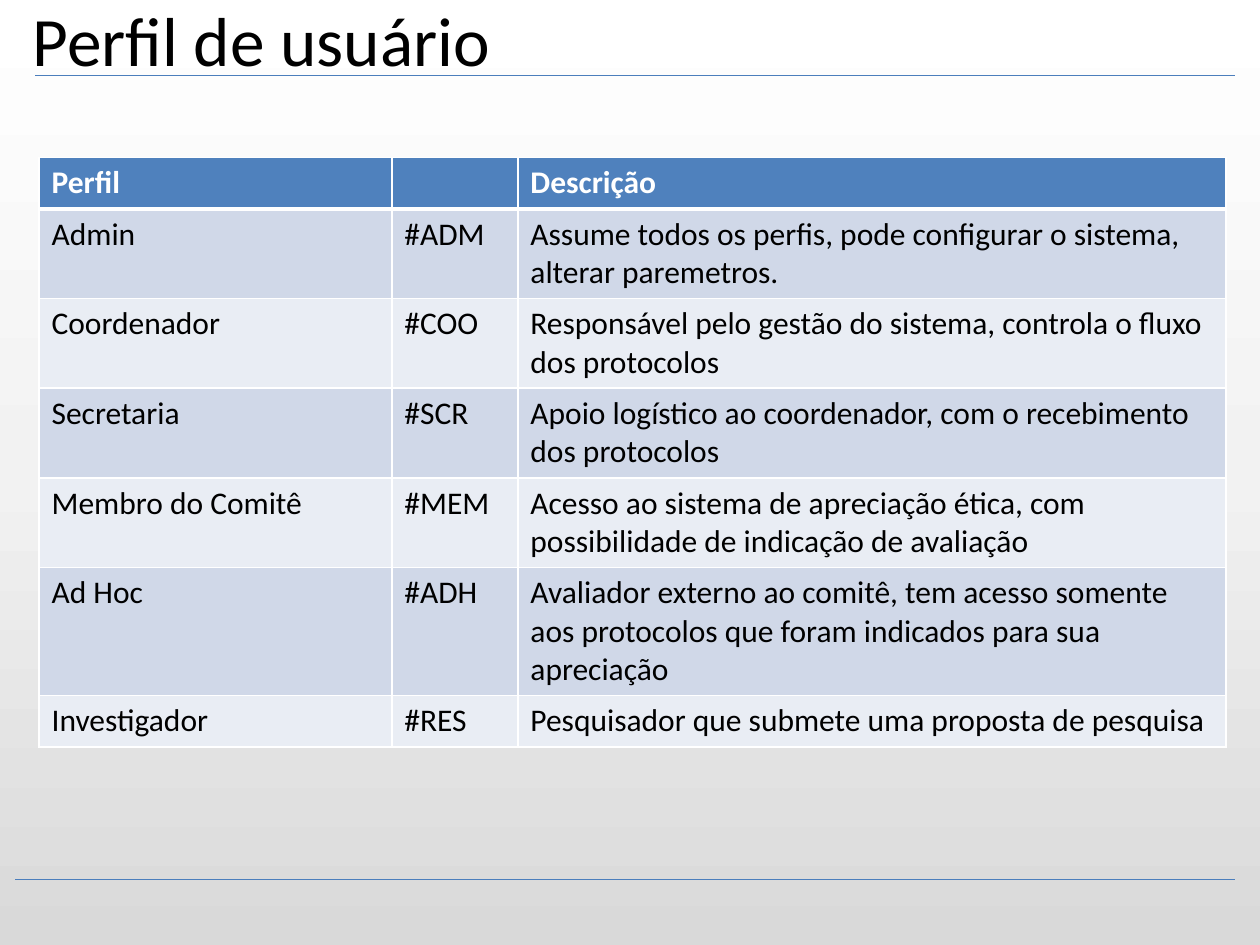
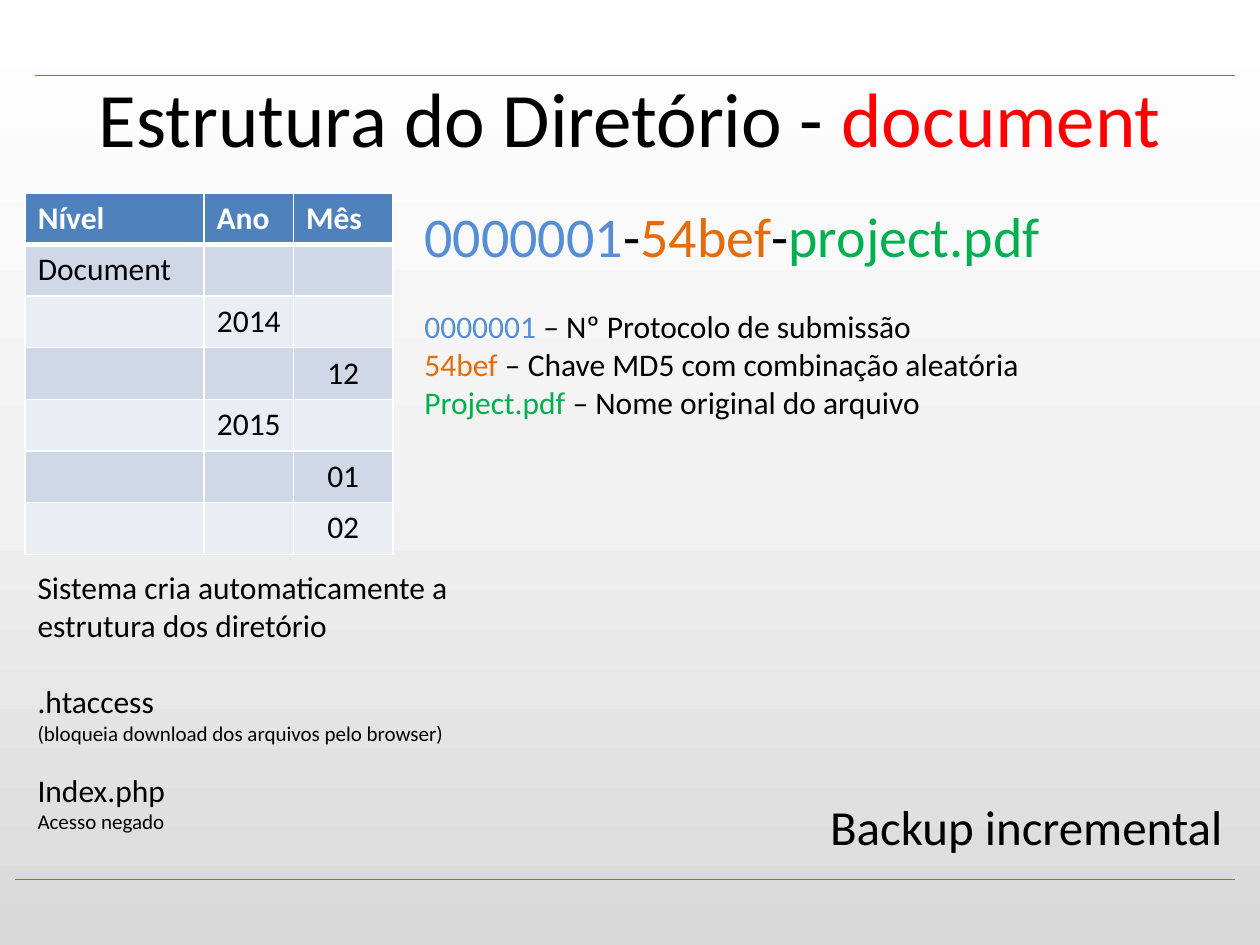
from copy import deepcopy

from lxml.etree import SubElement
from pptx import Presentation
from pptx.dml.color import RGBColor
from pptx.enum.shapes import MSO_CONNECTOR
from pptx.enum.text import MSO_ANCHOR, MSO_AUTO_SIZE, PP_ALIGN as Align
from pptx.oxml.ns import qn
from pptx.util import Inches, Pt

FONT = "Calibri"
BLACK, WHITE, RED = "000000", "FFFFFF", "FF0000"
RULE, HEADER, BANDS = "4B7EBC", "4F81BD", ("D0D8E8", "E9EDF4")
PROTOCOL, KEY, FILE = "558ED5", "E46C0A", "00B050"
BACKDROP = ((0, "FFFFFF"), (0.5, "F2F2F2"), (1, "D9D9D9"))
RULES = ((9.8, 0.6, 0.28, 0.6), (0.12, 6.98, 9.8, 6.98))
ROW_HEIGHT = 0.41

PROFILES = (
    ("Perfil", "", "Descrição"),
    ("Admin", "#ADM", "Assume todos os perfis, pode configurar o sistema, alterar paremetros."),
    ("Coordenador", "#COO", "Responsável pelo gestão do sistema, controla o fluxo dos protocolos"),
    ("Secretaria", "#SCR", "Apoio logístico ao coordenador, com o recebimento dos protocolos"),
    ("Membro do Comitê", "#MEM",
     "Acesso ao sistema de apreciação ética, com possibilidade de indicação de avaliação"),
    ("Ad Hoc", "#ADH",
     "Avaliador externo ao comitê, tem acesso somente aos protocolos que foram "
     "indicados para sua apreciação"),
    ("Investigador", "#RES", "Pesquisador que submete uma proposta de pesquisa"),
)
DIRECTORIES = (
    ("Nível", "Ano", "Mês"),
    ("Document", "", ""),
    ("", "2014", ""),
    ("", "", "12"),
    ("", "2015", ""),
    ("", "", "01"),
    ("", "", "02"),
)


def rgb(value):
    return RGBColor.from_string(value)


def write(paragraph, runs, size, align=Align.LEFT, bold=False, before=0):
    """Fill a paragraph from (text, colour) pairs."""
    paragraph.alignment = align
    paragraph.space_before = Pt(before)
    paragraph.font.size = Pt(size)
    for text, color in runs:
        run = paragraph.add_run()
        run.text = text
        run.font.name, run.font.size, run.font.bold = FONT, Pt(size), bold
        run.font.color.rgb = rgb(color)


def style_layout(layout, slide):
    """Give the layout its gradient and the two rules, which are drawn on slide first."""
    fill = layout.background.fill
    fill.gradient()
    fill.gradient_angle = 270
    stops = layout.element.find(".//" + qn("a:gsLst"))
    stops.insert(1, deepcopy(stops[0]))
    for stop, (position, color) in zip(fill.gradient_stops, BACKDROP):
        stop.position = position
        stop.color.rgb = rgb(color)
    for ends in RULES:
        rule = slide.shapes.add_connector(MSO_CONNECTOR.STRAIGHT, *map(Inches, ends))
        rule.line.color.rgb = rgb(RULE)
        rule.line.width = Pt(0.75)
        SubElement(rule.element.spPr, qn("a:effectLst"))
        layout.shapes.element.append(rule.element)


def set_title(slide, box, runs, size, align):
    title = slide.shapes.title
    title.left, title.top, title.width, title.height = map(Inches, box)
    frame = title.text_frame
    frame.auto_size = MSO_AUTO_SIZE.NONE
    frame.vertical_anchor = MSO_ANCHOR.MIDDLE
    write(frame.paragraphs[0], runs, size, align)


def add_text(slide, box, paragraphs):
    """Add a text box; each paragraph is a dict of arguments for write."""
    frame = slide.shapes.add_textbox(*map(Inches, box)).text_frame
    frame.word_wrap = True
    for index, content in enumerate(paragraphs):
        paragraph = frame.add_paragraph() if index else frame.paragraphs[0]
        write(paragraph, **content)


def add_borders(cell, row):
    widths = {"L": 1, "R": 1, "T": 3 if row == 1 else 1, "B": 3 if row == 0 else 1}
    properties = cell._tc.get_or_add_tcPr()
    for side, width in widths.items():
        line = SubElement(properties, qn("a:ln" + side), w=str(Pt(width)))
        color = SubElement(SubElement(line, qn("a:solidFill")), qn("a:srgbClr"))
        color.set("val", WHITE)


def add_banded_table(slide, left, top, widths, rows, body_aligns):
    height = ROW_HEIGHT * len(rows)
    table = slide.shapes.add_table(
        len(rows), len(widths), Inches(left), Inches(top), Inches(sum(widths)), Inches(height)
    ).table
    for column, width in zip(table.columns, widths):
        column.width = Inches(width)
    for r, texts in enumerate(rows):
        table.rows[r].height = Inches(ROW_HEIGHT)
        is_header = r == 0
        for c, text in enumerate(texts):
            cell = table.cell(r, c)
            add_borders(cell, r)
            cell.fill.solid()
            cell.fill.fore_color.rgb = rgb(HEADER if is_header else BANDS[(r - 1) % 2])
            runs = [(text, WHITE if is_header else BLACK)] if text else []
            align = Align.LEFT if is_header else body_aligns[c]
            write(cell.text_frame.paragraphs[0], runs, 18, align, bold=is_header)


def build_profiles(slide):
    set_title(slide, (0.16, 0, 9, 0.62), [("Perfil de usuário", BLACK)], 39.6, Align.LEFT)
    add_banded_table(slide, 0.31, 1.25, (2.8, 1, 5.62), PROFILES, [Align.LEFT] * 3)


def build_directories(slide):
    set_title(slide, (0.5, 0.3, 9, 1.25),
              [("Estrutura do Diretório - ", BLACK), ("document", RED)], 44, Align.CENTER)
    add_banded_table(slide, 0.2, 1.53, (1.42, 0.71, 0.79), DIRECTORIES,
                     (Align.LEFT, Align.CENTER, Align.CENTER))
    notes = (
        ("Sistema cria automaticamente a estrutura dos diretório", 18, 0),
        (".htaccess", 18, 22),
        ("(bloqueia download dos arquivos pelo browser)", 12, 0),
        ("Index.php", 18, 14.65),
        ("Acesso negado", 12, 0),
    )
    add_text(slide, (0.2, 4.46, 3.86, 2.22),
             [dict(runs=[(text, BLACK)], size=size, before=before)
              for text, size, before in notes])

    file_name = [("0000001", PROTOCOL), ("-", BLACK), ("54bef", KEY), ("-", BLACK),
                 ("project.pdf", FILE)]
    legend = (
        ("0000001", PROTOCOL, " – Nº Protocolo de submissão", 22),
        ("54bef", KEY, " – Chave MD5 com combinação aleatória", 0),
        ("Project.pdf", FILE, " – Nome original do arquivo", 0),
    )
    add_text(slide, (3.27, 1.55, 6.61, 1.85),
             [dict(runs=file_name, size=32)]
             + [dict(runs=[(part, color), (meaning, BLACK)], size=18, before=before)
                for part, color, meaning, before in legend])
    add_text(slide, (5.55, 6.27, 4.25, 0.57),
             [dict(runs=[("Backup incremental", BLACK)], size=28, align=Align.RIGHT)])


def main():
    deck = Presentation()
    deck.slide_width, deck.slide_height = Inches(10), Inches(7.5)
    title_only = deck.slide_layouts[5]
    profiles = deck.slides.add_slide(title_only)
    style_layout(title_only, profiles)
    build_profiles(profiles)
    build_directories(deck.slides.add_slide(title_only))
    deck.save("out.pptx")


if __name__ == "__main__":
    main()
